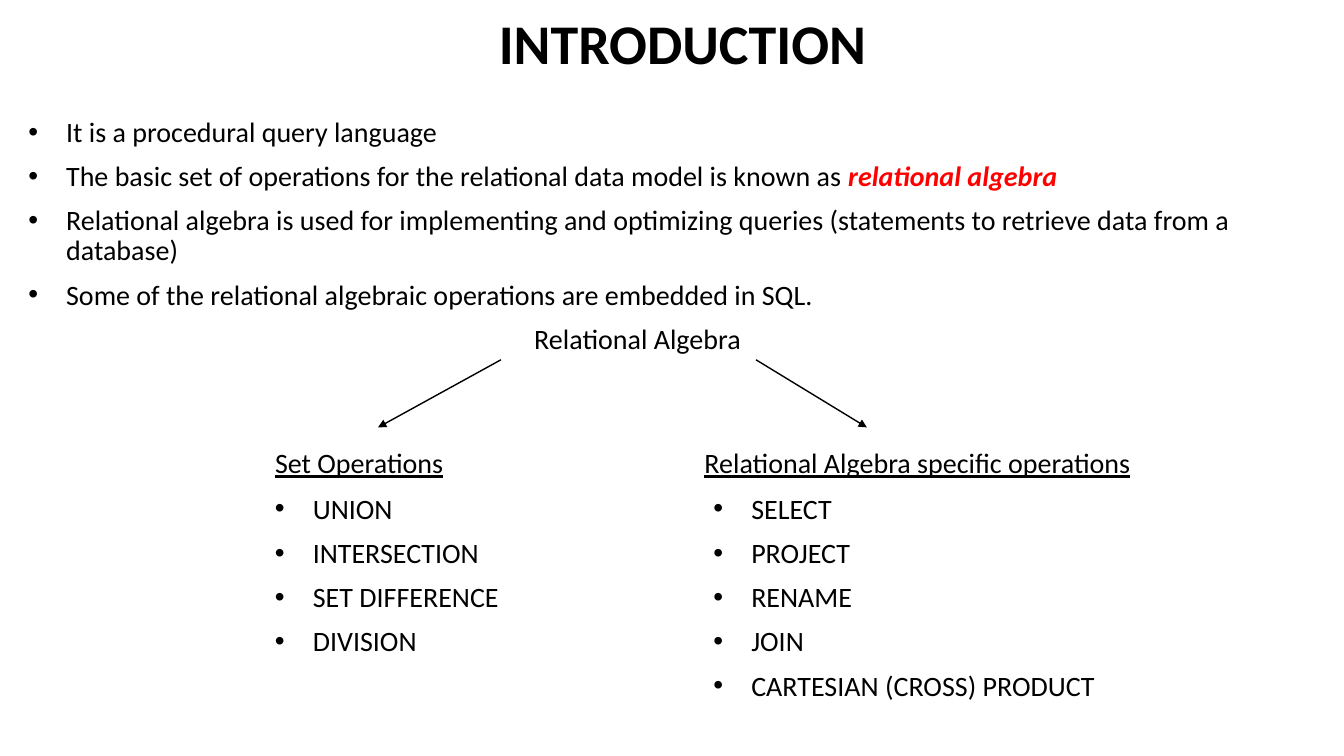
"""Build the relational algebra introduction slide."""
from dataclasses import dataclass

from lxml import etree
from pptx import Presentation
from pptx.dml.color import RGBColor
from pptx.enum.dml import MSO_THEME_COLOR
from pptx.enum.shapes import MSO_CONNECTOR
from pptx.enum.text import MSO_ANCHOR, MSO_AUTO_SIZE, PP_ALIGN
from pptx.oxml.ns import qn
from pptx.util import Pt

STRAIGHT = MSO_CONNECTOR.STRAIGHT
BOTTOM, TOP = MSO_ANCHOR.BOTTOM, MSO_ANCHOR.TOP
NO_FIT = MSO_AUTO_SIZE.NONE
GROW = MSO_AUTO_SIZE.SHAPE_TO_FIT_TEXT
CENTER, LEFT = PP_ALIGN.CENTER, PP_ALIGN.LEFT
WHITE_THEME = MSO_THEME_COLOR.BACKGROUND_1


@dataclass(frozen=True)
class Theme:
    font: str = "Calibri"
    ink: RGBColor = RGBColor(0, 0, 0)
    accent: RGBColor = RGBColor(255, 0, 0)
    title_size: float = 40
    text_size: float = 20
    line_spacing: float = 0.9
    space_before: float = 10
    bullet_indent: float = 27
    line_width: float = 1


@dataclass(frozen=True)
class Frame:
    left: float
    top: float
    width: float
    height: float


@dataclass(frozen=True)
class Span:
    text: str
    emphasis: bool = False


@dataclass(frozen=True)
class Branch:
    heading: str
    heading_left: float
    heading_width: float
    list_left: float
    operations: tuple[str, ...]
    arrow_start: float
    arrow_end: float


THEME = Theme()
PAGE_WIDTH, PAGE_HEIGHT = 960, 540
TITLE_FRAME = Frame(91.44, -5.76, 792, 64.08)
BODY_FRAME = Frame(13, 80.64, 906.5, 187.92)
ROOT_INDENT = 361.4
ARROW_TOP, ARROW_BOTTOM = 257, 305.3
HEADING_TOP, HEADING_HEIGHT = 314.64, 31.5
LIST_TOP, LIST_WIDTH, LIST_HEIGHT = 349.92, 385.92, 173.52

FACTS = (
    (Span("It is a procedural query language"),),
    (
        Span("The basic set of operations for the relational data model is known as "),
        Span("relational algebra", emphasis=True),
    ),
    (
        Span(
            "Relational algebra is used for implementing and optimizing queries "
            "(statements to retrieve data from a database)"
        ),
    ),
    (Span("Some of the relational algebraic operations are embedded in SQL."),),
)
BRANCHES = (
    Branch(
        "Set Operations", 189.36, 267.84, 189.36,
        ("UNION", "INTERSECTION", "SET DIFFERENCE", "DIVISION"),
        357.84, 270,
    ),
    Branch(
        "Relational Algebra specific operations", 496.08, 482.4, 502.56,
        ("SELECT", "PROJECT", "RENAME", "JOIN", "CARTESIAN (CROSS) PRODUCT"),
        540, 619.2,
    ),
)


def place(box, frame: Frame) -> None:
    box.left, box.top = Pt(frame.left), Pt(frame.top)
    box.width, box.height = Pt(frame.width), Pt(frame.height)


def prepare(text_frame, anchor=TOP, fit=NO_FIT) -> None:
    text_frame.word_wrap = True
    text_frame.auto_size = fit
    text_frame.vertical_anchor = anchor


def add_span(para, text: str, size: float = THEME.text_size,
             color: RGBColor = THEME.ink, bold: bool = False,
             italic: bool = False, underline: bool = False) -> None:
    span = para.add_run()
    span.text = text
    font = span.font
    font.name, font.size = THEME.font, Pt(size)
    font.bold, font.italic, font.underline = bold, italic, underline
    font.color.rgb = color


def format_list_para(para) -> None:
    para.alignment = LEFT
    para.line_spacing = THEME.line_spacing
    para.space_before = Pt(THEME.space_before)


def set_indent(para, margin: float, first_line: float) -> None:
    properties = para._p.get_or_add_pPr()
    properties.set("marL", str(Pt(margin)))
    properties.set("indent", str(Pt(first_line)))


def add_bullets(text_frame, items: tuple[tuple[Span, ...], ...]) -> None:
    for index, spans in enumerate(items):
        para = text_frame.add_paragraph() if index else text_frame.paragraphs[0]
        format_list_para(para)
        set_indent(para, THEME.bullet_indent, -THEME.bullet_indent)
        properties = para._p.get_or_add_pPr()
        etree.SubElement(properties, qn("a:buFont")).set("typeface", "Arial")
        etree.SubElement(properties, qn("a:buChar")).set("char", "•")
        for span in spans:
            color = THEME.accent if span.emphasis else THEME.ink
            add_span(para, span.text, color=color,
                     bold=span.emphasis, italic=span.emphasis)


def add_text_box(page, frame: Frame, fit=NO_FIT):
    box = page.shapes.add_textbox(
        Pt(frame.left), Pt(frame.top), Pt(frame.width), Pt(frame.height)
    )
    prepare(box.text_frame, fit=fit)
    return box.text_frame


def add_arrow(page, start: float, end: float) -> None:
    arrow = page.shapes.add_connector(
        STRAIGHT, Pt(start), Pt(ARROW_TOP), Pt(end), Pt(ARROW_BOTTOM)
    )
    arrow.line.color.rgb = THEME.ink
    arrow.line.width = Pt(THEME.line_width)
    outline = arrow.line._get_or_add_ln()
    etree.SubElement(outline, qn("a:tailEnd")).set("type", "triangle")
    etree.SubElement(arrow._element.spPr, qn("a:effectLst"))


def add_branch(page, branch: Branch) -> None:
    add_arrow(page, branch.arrow_start, branch.arrow_end)
    heading = add_text_box(
        page,
        Frame(branch.heading_left, HEADING_TOP, branch.heading_width, HEADING_HEIGHT),
        GROW,
    )
    add_span(heading.paragraphs[0], branch.heading, underline=True)
    operations = add_text_box(
        page, Frame(branch.list_left, LIST_TOP, LIST_WIDTH, LIST_HEIGHT)
    )
    add_bullets(operations, tuple((Span(name),) for name in branch.operations))


def main() -> None:
    deck = Presentation()
    deck.slide_width, deck.slide_height = Pt(PAGE_WIDTH), Pt(PAGE_HEIGHT)
    page = deck.slides.add_slide(deck.slide_layouts[0])
    page.background.fill.solid()
    page.background.fill.fore_color.theme_color = WHITE_THEME

    title, body = page.placeholders
    place(title, TITLE_FRAME)
    prepare(title.text_frame, BOTTOM)
    para = title.text_frame.paragraphs[0]
    para.alignment = CENTER
    para.line_spacing = THEME.line_spacing
    add_span(para, "INTRODUCTION", size=THEME.title_size, bold=True)

    place(body, BODY_FRAME)
    prepare(body.text_frame)
    add_bullets(body.text_frame, FACTS)
    root = body.text_frame.add_paragraph()
    format_list_para(root)
    set_indent(root, ROOT_INDENT, 0)
    add_span(root, "Relational Algebra")

    for branch in BRANCHES:
        add_branch(page, branch)
    deck.save("out.pptx")


if __name__ == "__main__":
    main()
